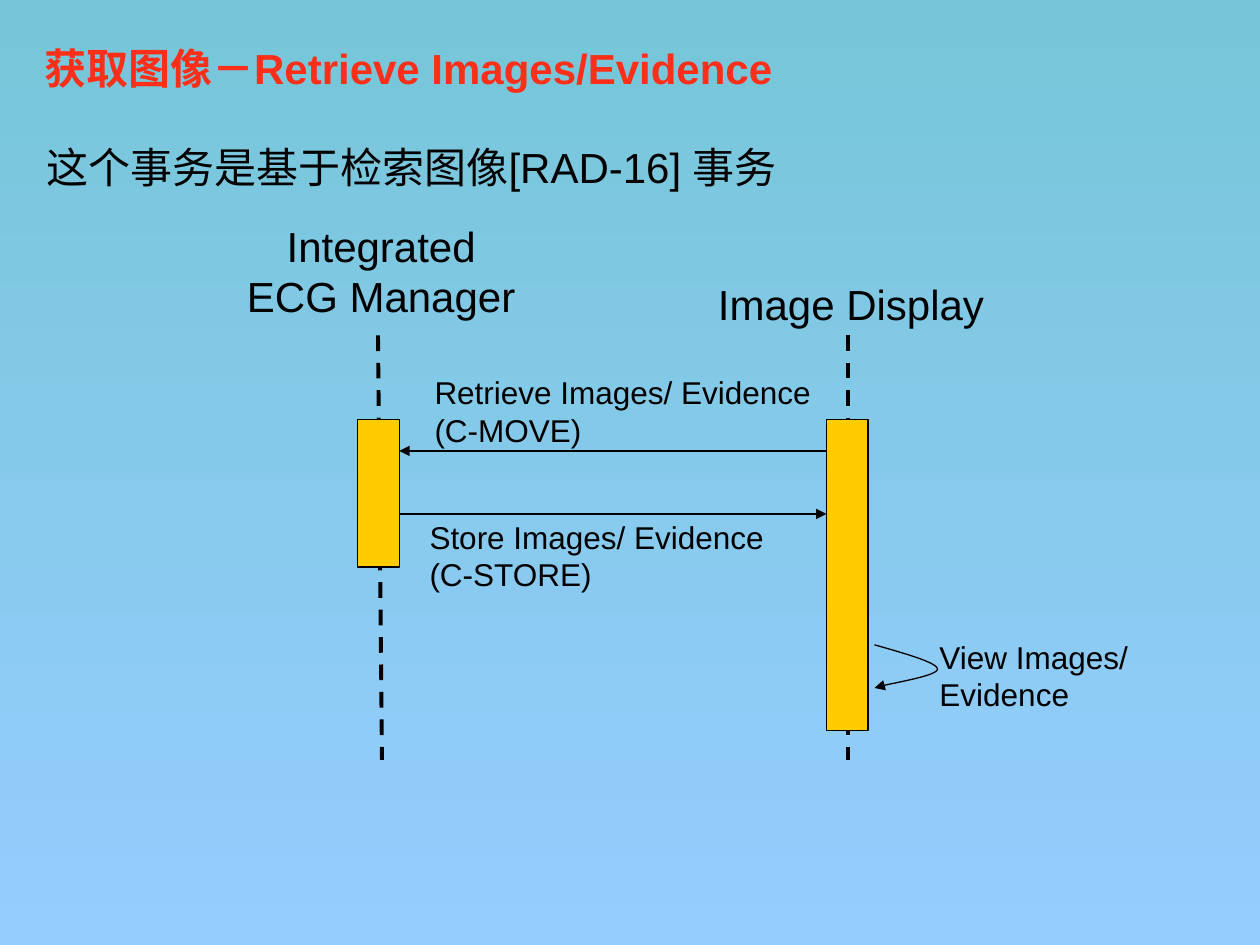
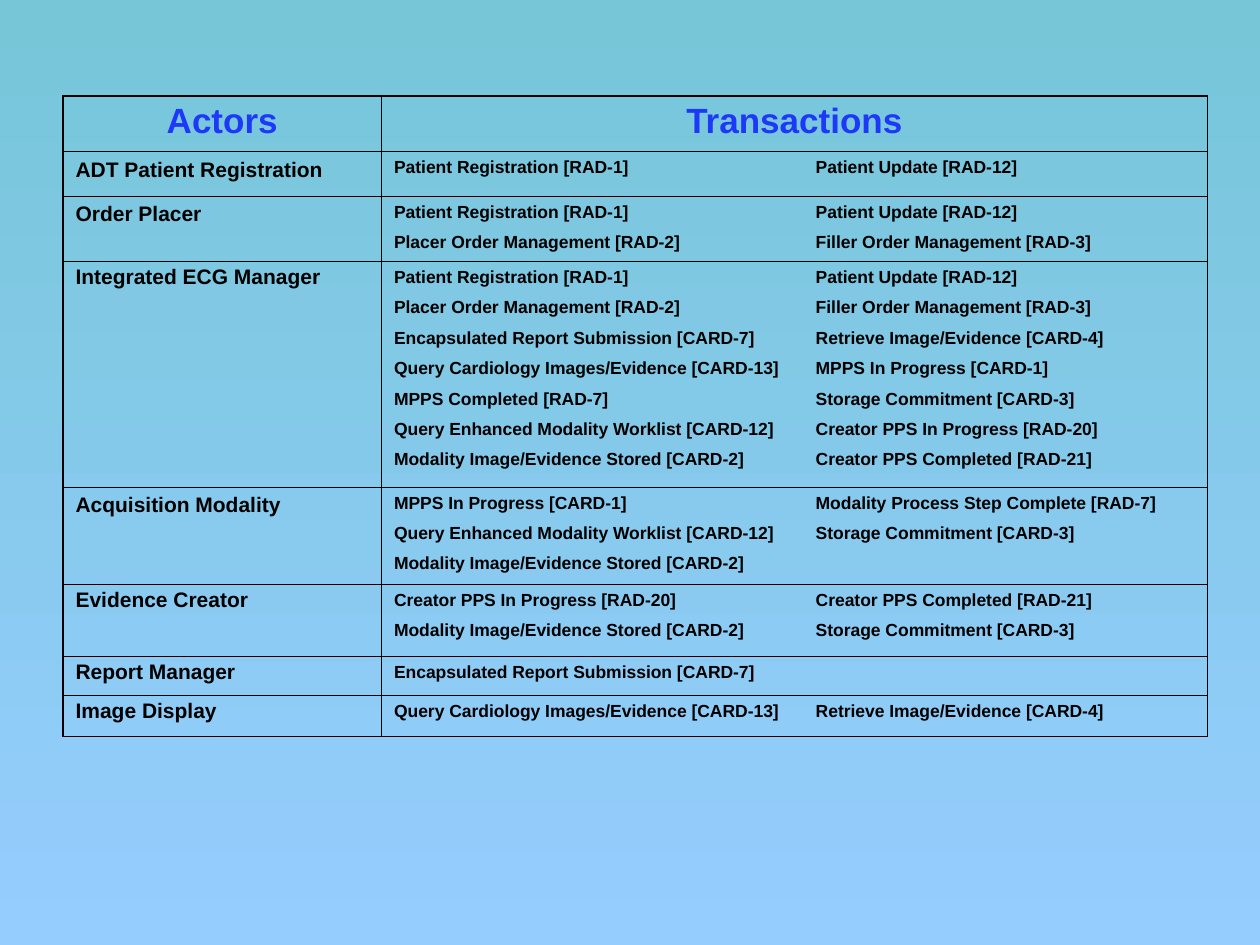
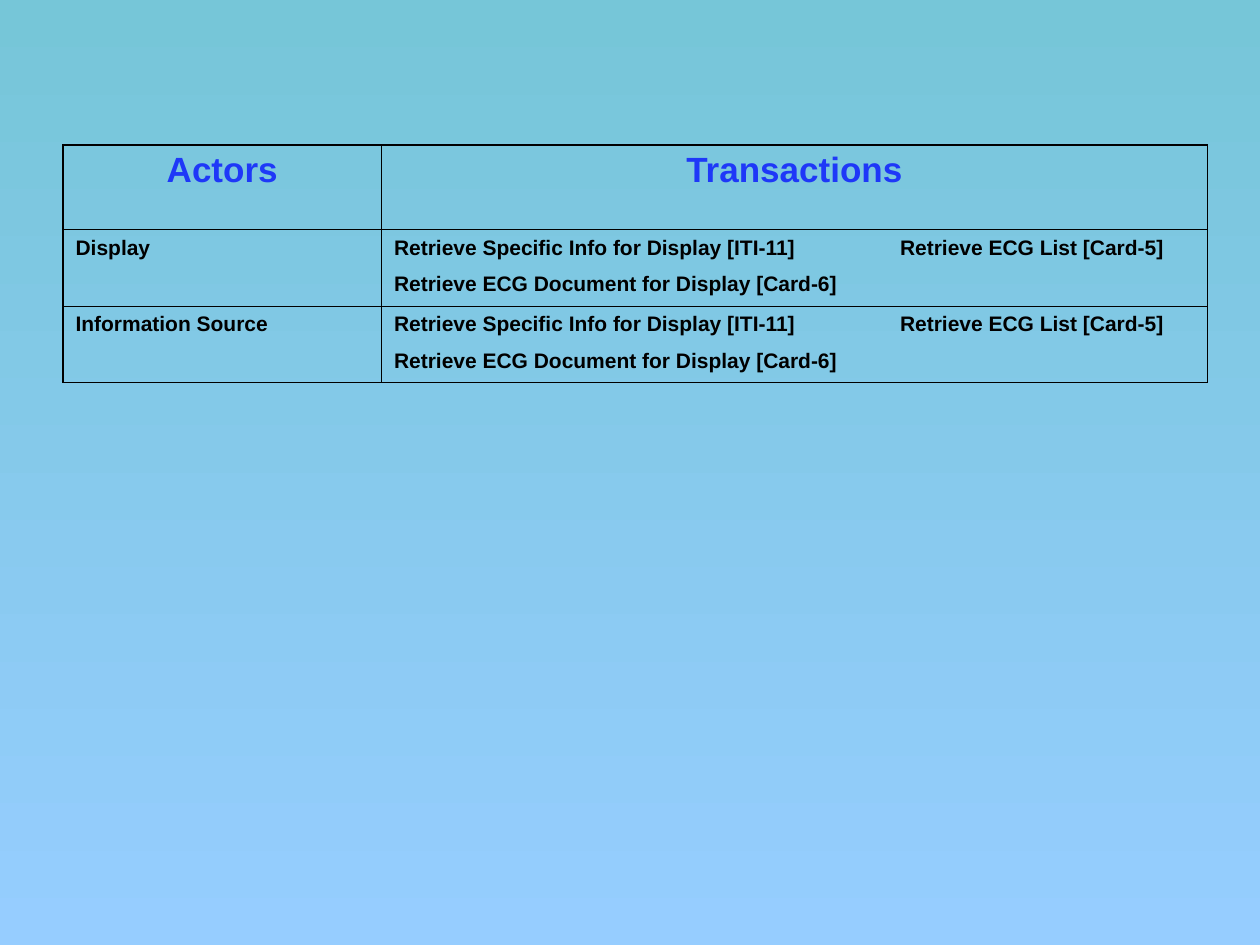
from dataclasses import dataclass

import lxml.etree
import pptx
import pptx.dml.color
import pptx.enum.dml
import pptx.enum.shapes
import pptx.enum.text
import pptx.oxml.ns
import pptx.util

Cm = pptx.util.Cm
Pt = pptx.util.Pt
qn = pptx.oxml.ns.qn
Align = pptx.enum.text.PP_ALIGN

# Shared look
FONT = "Arial"
COLORS = {
    "sky_top": "76C6D8",
    "sky_bottom": "96CDFF",
    "title": "FD2F19",
    "header": "1E38F8",
    "text": "000000",
    "bar": "FFCC00",
}
COLUMN_WIDTHS = (6.42, 16.65)
TABLE_LEFT = 1.27
OUTER_BORDER, INNER_BORDER = 1.08, 0.45


@dataclass(frozen=True)
class Label:
    left: float
    top: float
    width: float
    height: float
    lines: tuple[str, ...]
    size: float = 24
    color: str = "text"
    bold: bool = False
    centered: bool = False
    wrap: bool = True
    middle: bool = False


@dataclass(frozen=True)
class Line:
    start: tuple[float, float]
    end: tuple[float, float]
    width: float = 0.75
    dashed: bool = False
    arrow: bool = False


@dataclass(frozen=True)
class Bar:
    left: float
    top: float
    width: float
    height: float


@dataclass(frozen=True)
class ActorRow:
    height: float
    actor: str
    transactions: tuple[str, ...]  # a tab separates the two columns
    line_spacing: float | None = None


@dataclass(frozen=True)
class TransactionTable:
    top: float
    header_height: float
    size: float
    space_before: float
    tab: float
    rows: tuple[ActorRow, ...]


# Slide 1: sequence diagram
LABELS = (
    Label(0.64, 0.2, 25.27, 2.34, ("获取图像－Retrieve Images/Evidence",),
          color="title", bold=True, middle=True),
    Label(0.69, 2.72, 24.56, 3.3, ("这个事务是基于检索图像[RAD-16] 事务",)),
    Label(3.1, 4.32, 9.17, 2.29, ("Integrated", "ECG Manager"), centered=True),
    Label(14.22, 5.49, 5.87, 1.27, ("Image Display",), centered=True, wrap=False),
    Label(8.51, 7.39, 8.1, 1.78, ("Retrieve Images/ Evidence", "(C-MOVE)"), 18, wrap=False),
    Label(8.41, 10.31, 12.7, 1.78, ("Store Images/ Evidence", "(C-STORE)"), 18),
    Label(18.69, 12.73, 4.34, 1.78, ("View Images/", "Evidence"), 18),
)
MANAGER_BAR = Bar(7.21, 8.46, 0.84, 2.97)
DISPLAY_BAR = Bar(16.66, 8.46, 0.84, 6.27)
MANAGER_EDGE = MANAGER_BAR.left + MANAGER_BAR.width
LINES = (
    Line((7.62, 6.76), (7.7, 15.32), 2.25, dashed=True),
    Line((17.09, 6.76), (17.09, 15.32), 2.25, dashed=True),
    Line((DISPLAY_BAR.left, 9.09), (MANAGER_EDGE, 9.09), arrow=True),
    Line((MANAGER_EDGE, 10.36), (DISPLAY_BAR.left, 10.36), arrow=True),
)
VIEW_LOOP = (
    ((17.63, 13.0), (18.26, 13.18), (18.9, 13.36), (18.9, 13.49)),
    ((18.9, 13.49), (18.9, 13.64), (17.83, 13.79), (17.63, 13.87)),
)

# Slides 2 and 3: actors and their transactions
REGISTRATION = "Patient Registration [RAD-1]\tPatient Update [RAD-12]"
ORDERS = "Placer Order Management [RAD-2]\tFiller Order Management [RAD-3]"
REPORT = "Encapsulated Report Submission [CARD-7]"
QUERY = "Query Cardiology Images/Evidence [CARD-13]"
RETRIEVE = "Retrieve Image/Evidence [CARD-4]"
WORKLIST = "Query Enhanced Modality Worklist [CARD-12]"
STORED = "Modality Image/Evidence Stored [CARD-2]"
COMMITMENT = "Storage Commitment [CARD-3]"
MPPS = "MPPS In Progress [CARD-1]"
PPS_STARTED = "Creator PPS In Progress [RAD-20]"
PPS_COMPLETED = "Creator PPS Completed [RAD-21]"
ECG_RETRIEVAL = (
    "Retrieve Specific Info for Display [ITI-11]\tRetrieve ECG List [Card-5]",
    "Retrieve ECG Document for Display [Card-6]",
)

TABLES = (
    TransactionTable(1.93, 1.13, 10, 6.2, 8.5, (
        ActorRow(0.9, "ADT Patient Registration", (REGISTRATION,)),
        ActorRow(1.31, "Order Placer", (REGISTRATION, ORDERS)),
        ActorRow(4.55, "Integrated ECG Manager", (
            REGISTRATION,
            ORDERS,
            f"{REPORT}\t{RETRIEVE}",
            f"{QUERY}\t{MPPS}",
            f"MPPS Completed [RAD-7]\t{COMMITMENT}",
            f"{WORKLIST}\t{PPS_STARTED}",
            f"{STORED}\t{PPS_COMPLETED}",
        ), 0.9),
        ActorRow(1.96, "Acquisition Modality", (
            f"{MPPS}\tModality Process Step Complete [RAD-7]",
            f"{WORKLIST}\t{COMMITMENT}",
            STORED,
        )),
        ActorRow(1.45, "Evidence Creator", (
            f"{PPS_STARTED}\t{PPS_COMPLETED}",
            f"{STORED}\t{COMMITMENT}",
        ), 0.9),
        ActorRow(0.79, "Report Manager", (REPORT,), 0.9),
        ActorRow(0.83, "Image Display", (f"{QUERY}\t{RETRIEVE}",), 0.9),
    )),
    TransactionTable(2.92, 1.71, 12, 7.5, 10.2, (
        ActorRow(1.54, "Display", ECG_RETRIEVAL),
        ActorRow(1.54, "Information Source", ECG_RETRIEVAL),
    )),
)


def rgb(name: str) -> pptx.dml.color.RGBColor:
    return pptx.dml.color.RGBColor.from_string(COLORS[name])


def paint_background(master) -> None:
    fill = master.background.fill
    fill.gradient()
    fill.gradient_angle = 270
    for stop, position, name in zip(fill.gradient_stops, (0, 1), ("sky_top", "sky_bottom")):
        stop.position = position
        stop.color.rgb = rgb(name)


def write_lines(text_frame, lines: tuple[str, ...], size: float, color: str = "text",
                bold: bool = False, centered: bool = False) -> list:
    """Write one paragraph per line and return the paragraphs."""
    paragraphs = []
    for index, line in enumerate(lines):
        paragraph = text_frame.add_paragraph() if index else text_frame.paragraphs[0]
        paragraph.alignment = Align.CENTER if centered else Align.LEFT
        run = paragraph.add_run()
        run.text = line
        run.font.name = FONT
        run.font.size = Pt(size)
        run.font.bold = bold
        run.font.color.rgb = rgb(color)
        paragraphs.append(paragraph)
    return paragraphs


def draw_label(slide, label: Label) -> None:
    box = slide.shapes.add_textbox(
        Cm(label.left), Cm(label.top), Cm(label.width), Cm(label.height))
    text_frame = box.text_frame
    text_frame.word_wrap = label.wrap
    if label.middle:
        text_frame.vertical_anchor = pptx.enum.text.MSO_ANCHOR.MIDDLE
    else:
        text_frame.auto_size = pptx.enum.text.MSO_AUTO_SIZE.SHAPE_TO_FIT_TEXT
    write_lines(text_frame, label.lines, label.size, label.color, label.bold, label.centered)


def style_line(shape, width: float, arrow: bool = False) -> None:
    shape.line.color.rgb = rgb("text")
    shape.line.width = Pt(width)
    if arrow:
        outline = shape._element.spPr.find(qn("a:ln"))
        lxml.etree.SubElement(outline, qn("a:tailEnd"), type="triangle")


def draw_line(slide, line: Line) -> None:
    connector = slide.shapes.add_connector(
        pptx.enum.shapes.MSO_CONNECTOR.STRAIGHT,
        *(Cm(value) for value in line.start + line.end))
    if line.dashed:
        connector.line.dash_style = pptx.enum.dml.MSO_LINE.DASH
    style_line(connector, line.width, line.arrow)
    lxml.etree.SubElement(connector._element.spPr, qn("a:effectLst"))


def draw_bar(slide, bar: Bar) -> None:
    shape = slide.shapes.add_shape(
        pptx.enum.shapes.MSO_SHAPE.RECTANGLE,
        Cm(bar.left), Cm(bar.top), Cm(bar.width), Cm(bar.height))
    shape.shadow.inherit = False
    shape.fill.solid()
    shape.fill.fore_color.rgb = rgb("bar")
    style_line(shape, 0.75)


def bezier_point(curve: tuple, t: float) -> tuple[int, int]:
    weights = ((1 - t) ** 3, 3 * t * (1 - t) ** 2, 3 * t ** 2 * (1 - t), t ** 3)
    x, y = (sum(w * point[axis] for w, point in zip(weights, curve)) for axis in (0, 1))
    return Cm(x), Cm(y)


def draw_curve(slide, curves: tuple, steps: int = 16) -> None:
    points = [bezier_point(curve, step / steps)
              for curve in curves for step in range(1, steps + 1)]
    builder = slide.shapes.build_freeform(*bezier_point(curves[0], 0))
    builder.add_line_segments(points, close=False)
    shape = builder.convert_to_shape()
    shape.shadow.inherit = False
    shape.fill.background()
    style_line(shape, 0.75, arrow=True)


def set_borders(cell, widths: dict[str, float]) -> None:
    properties = cell._tc.get_or_add_tcPr()
    for index, (side, width) in enumerate(widths.items()):
        border = lxml.etree.Element(qn(f"a:ln{side}"), w=str(Pt(width)))
        fill = lxml.etree.SubElement(border, qn("a:solidFill"))
        lxml.etree.SubElement(fill, qn("a:srgbClr"), val=COLORS["text"])
        properties.insert(index, border)


def add_tab_stop(paragraph, position: float) -> None:
    properties = paragraph._p.get_or_add_pPr()
    tabs = lxml.etree.SubElement(properties, qn("a:tabLst"))
    lxml.etree.SubElement(tabs, qn("a:tab"), pos=str(Cm(position)), algn="l")


def draw_table(slide, spec_table: TransactionTable) -> None:
    heights = [spec_table.header_height] + [row.height for row in spec_table.rows]
    table = slide.shapes.add_table(
        len(heights), len(COLUMN_WIDTHS), Cm(TABLE_LEFT), Cm(spec_table.top),
        Cm(sum(COLUMN_WIDTHS)), Cm(sum(heights))).table
    table.first_row = table.horz_banding = False
    for column, width in zip(table.columns, COLUMN_WIDTHS):
        column.width = Cm(width)

    # Heights, fills and borders
    for row_index, height in enumerate(heights):
        table.rows[row_index].height = Cm(height)
        for column_index in range(len(COLUMN_WIDTHS)):
            cell = table.cell(row_index, column_index)
            cell.fill.background()
            set_borders(cell, {
                "L": INNER_BORDER if column_index else OUTER_BORDER,
                "R": OUTER_BORDER if column_index else INNER_BORDER,
                "T": INNER_BORDER if row_index else OUTER_BORDER,
                "B": INNER_BORDER,
            })

    # Header
    for column_index, heading in enumerate(("Actors", "Transactions")):
        text_frame = table.cell(0, column_index).text_frame
        for paragraph in write_lines(text_frame, (heading,), 20, "header", True, True):
            paragraph.space_before = Pt(12.5)

    # Actors and transactions
    for row_index, row in enumerate(spec_table.rows, start=1):
        actor_frame = table.cell(row_index, 0).text_frame
        for paragraph in write_lines(actor_frame, (row.actor,), 12, bold=True):
            paragraph.space_before = Pt(7.5)
            paragraph.line_spacing = row.line_spacing
        transaction_frame = table.cell(row_index, 1).text_frame
        for paragraph in write_lines(
                transaction_frame, row.transactions, spec_table.size, bold=True):
            paragraph.space_before = Pt(spec_table.space_before)
            add_tab_stop(paragraph, spec_table.tab)


def main() -> None:
    presentation = pptx.Presentation()
    presentation.slide_width = Cm(25.4)
    presentation.slide_height = Cm(19.05)
    paint_background(presentation.slide_master)
    blank = presentation.slide_layouts[6]

    diagram = presentation.slides.add_slide(blank)
    for line in LINES:
        draw_line(diagram, line)
    for bar in (MANAGER_BAR, DISPLAY_BAR):
        draw_bar(diagram, bar)
    for label in LABELS:
        draw_label(diagram, label)
    draw_curve(diagram, VIEW_LOOP)

    for transaction_table in TABLES:
        draw_table(presentation.slides.add_slide(blank), transaction_table)

    presentation.save("out.pptx")


if __name__ == "__main__":
    main()
